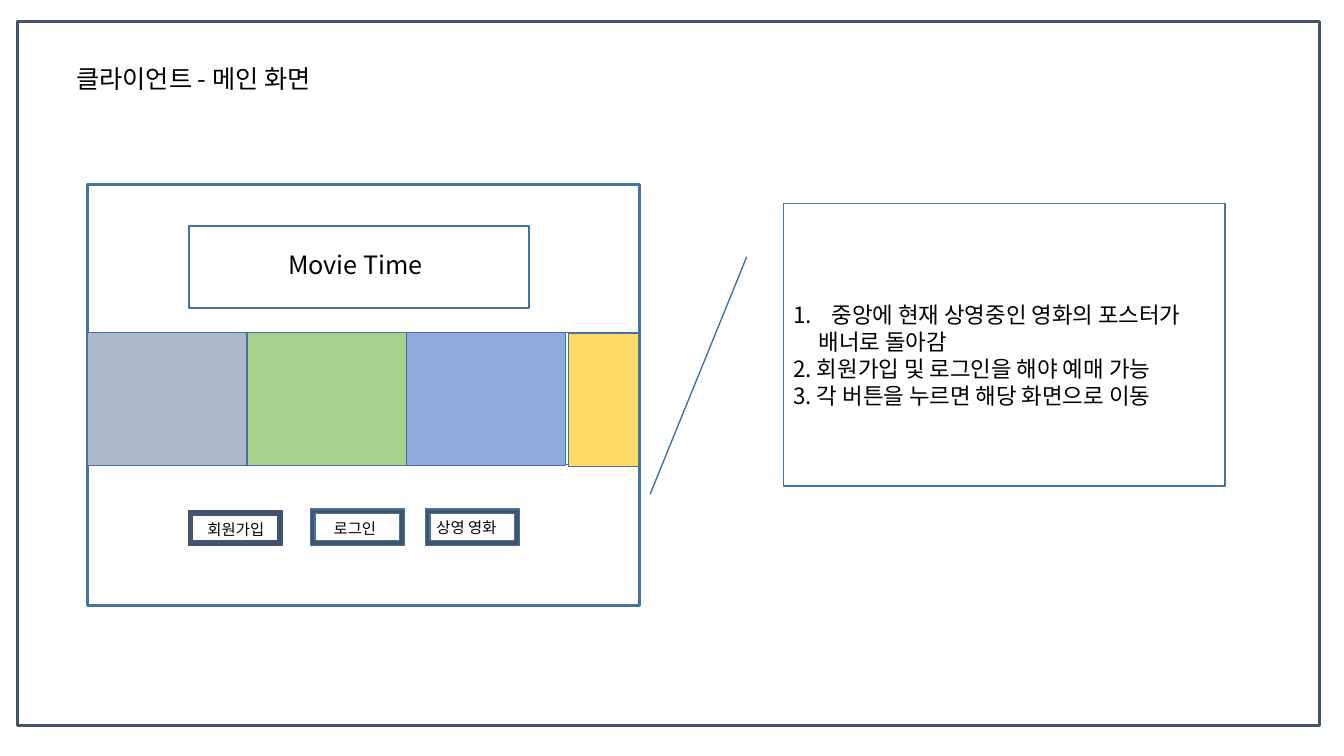
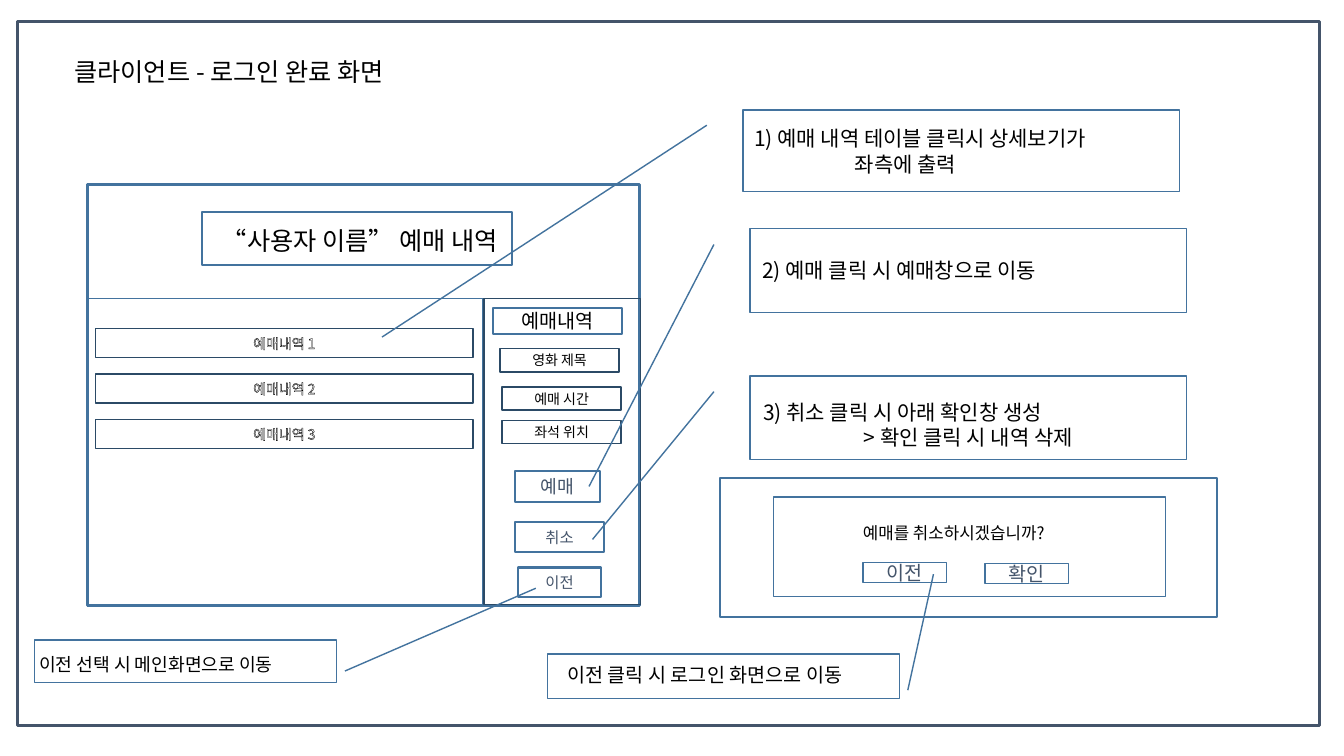
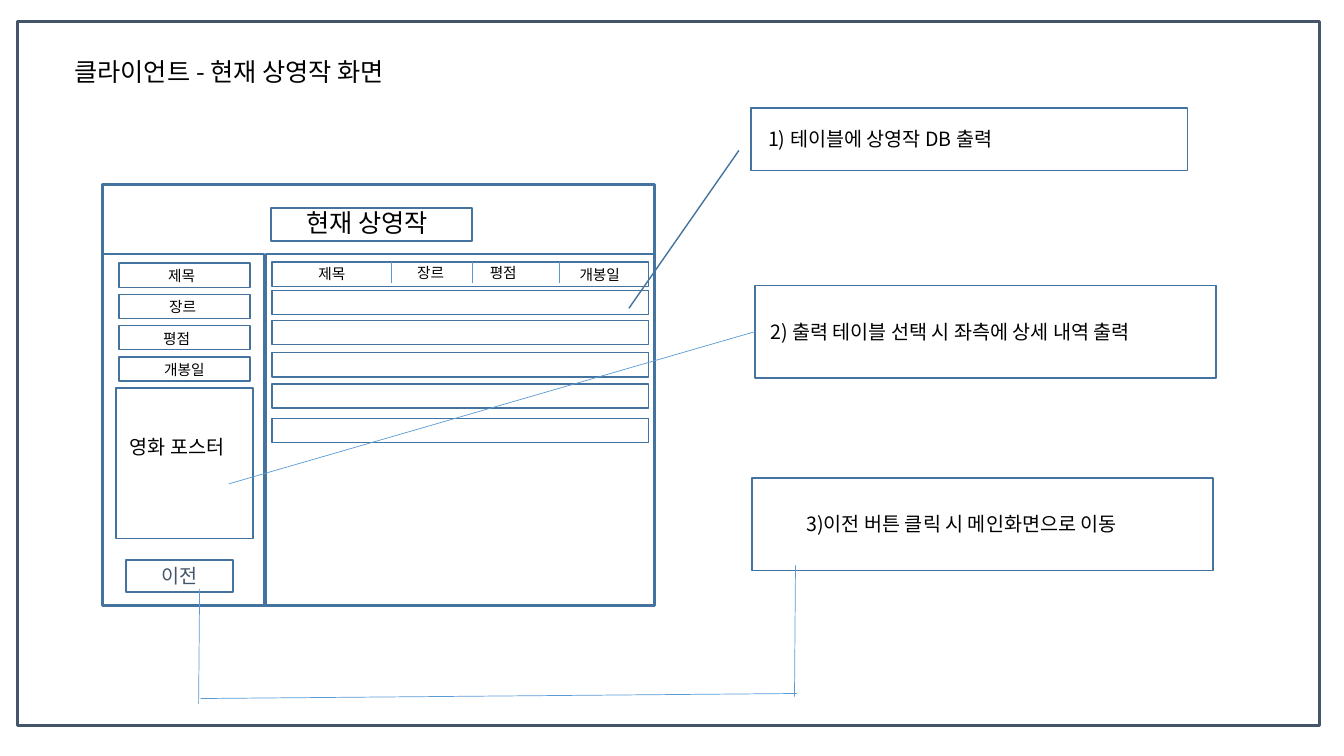
from lxml import etree
from pptx import Presentation
from pptx.dml.color import RGBColor
from pptx.enum.shapes import MSO_CONNECTOR, MSO_SHAPE
from pptx.enum.text import MSO_ANCHOR, MSO_AUTO_SIZE, PP_ALIGN
from pptx.oxml.ns import qn
from pptx.util import Inches, Pt

RECT = MSO_SHAPE.RECTANGLE
FRAME = MSO_SHAPE.FRAME
CALLOUT = MSO_SHAPE.LINE_CALLOUT_1
STRAIGHT = MSO_CONNECTOR.STRAIGHT
LEFT, CENTER = PP_ALIGN.LEFT, PP_ALIGN.CENTER
MIDDLE = MSO_ANCHOR.MIDDLE
FIT = MSO_AUTO_SIZE.SHAPE_TO_FIT_TEXT
FONT = "Noto Sans CJK KR"
COLORS = {
    "slate": "44546A", "blue": "43739E", "navy": "2B4A66", "sky": "5B9BD5",
    "black": "000000", "white": "FFFFFF", "gray": "ADB9CA", "green": "A9D18E",
    "periwinkle": "8FAADC", "yellow": "FFD966",
}


def rgb(name):
    return RGBColor.from_string(COLORS[name])


class Wireframe:
    """Holds the deck style and the page being drawn."""

    def __init__(self):
        self.deck = Presentation()
        self.deck.slide_width = Inches(13.33)
        self.deck.slide_height = Inches(7.5)
        self.page = None

    def new_page(self, title, left=0.64, top=0.51):
        self.page = self.deck.slides.add_slide(self.deck.slide_layouts[6])
        self.shape((0.17, 0.21, 12.92, 6.99), line="slate", width=2)
        self.text((left, top, 4.74, 0.4), title, 18)

    def shape(self, at, kind=RECT, line="blue", width=1, fill=None):
        shape = self.page.shapes.add_shape(kind, *map(Inches, at))
        shape.shadow.inherit = False
        if fill:
            shape.fill.solid()
            shape.fill.fore_color.rgb = rgb(fill)
        else:
            shape.fill.background()
        shape.line.color.rgb = rgb(line)
        shape.line.width = Pt(width)
        return shape

    def callout(self, at, pointer, rotation=0):
        """Pointer holds start y, start x, end y and end x as shares of the box."""
        shape = self.shape(at, CALLOUT)
        for index, value in enumerate(pointer):
            shape.adjustments[index] = value
        shape.rotation = rotation

    def button(self, at, text, size, color="slate", line="blue", width=1.5, outline=False):
        frame = self.shape(at, line=line, width=width).text_frame
        frame.word_wrap = True
        frame.vertical_anchor = MIDDLE
        self.add_span(frame.paragraphs[0], text, size, color, CENTER, outline)

    def text(self, at, text, size, wrap=True, align=LEFT):
        """Add a text box; a list gives one paragraph for each item."""
        frame = self.page.shapes.add_textbox(*map(Inches, at)).text_frame
        frame.word_wrap = wrap
        frame.auto_size = FIT
        lines = text if isinstance(text, list) else [text]
        for index, line in enumerate(lines):
            para = frame.add_paragraph() if index else frame.paragraphs[0]
            self.add_span(para, line, size, align=align)
        return frame

    def add_span(self, para, text, size, color="black", align=LEFT, outline=False):
        para.alignment = align
        span = para.add_run()
        span.text = text
        span.font.size = Pt(size)
        span.font.name = FONT
        span.font.color.rgb = rgb(color)
        props = span.font._element
        east_asian = etree.Element(qn("a:ea"), typeface=FONT)
        props.find(qn("a:latin")).addnext(east_asian)
        if outline:
            edge = etree.Element(qn("a:ln"), w=str(Pt(0.75)))
            solid = etree.SubElement(edge, qn("a:solidFill"))
            etree.SubElement(solid, qn("a:srgbClr"), val=COLORS["black"])
            props.insert(0, edge)

    def indent(self, para, margin, first=0.0, number=False):
        props = para._p.get_or_add_pPr()
        props.set("marL", str(Inches(margin)))
        props.set("indent", str(Inches(first)))
        if number:
            etree.SubElement(props, qn("a:buAutoNum"), type="arabicPeriod")

    def line(self, x1, y1, x2, y2):
        line = self.page.shapes.add_connector(STRAIGHT, *map(Inches, (x1, y1, x2, y2)))
        line.line.color.rgb = rgb("sky")
        line.line.width = Pt(0.5)
        etree.SubElement(line._element.spPr, qn("a:effectLst"))


def main_screen(w):
    w.new_page("클라이언트 - 메인 화면", 0.66, 0.58)
    w.shape((0.87, 1.83, 5.47, 4.18), width=2.25)
    w.shape((1.87, 2.24, 3.38, 0.82), width=1.5)
    w.text((2.76, 2.42, 1.55, 0.4), "Movie Time", 18, wrap=False)

    w.shape((0.87, 3.3, 5.47, 1.31))
    for index, fill in enumerate(("gray", "green", "periwinkle")):
        w.shape((0.87 + 1.58 * index, 3.3, 1.58, 1.32), fill=fill)
    w.shape((5.64, 3.31, 0.69, 1.32), fill="yellow")

    menu = (
        ("회원가입", (1.87, 5.07, 0.93, 0.34), (1.96, 5.11, 0.87, 0.29), "slate"),
        ("로그인", (3.08, 5.05, 0.93, 0.36), (3.21, 5.1, 0.68, 0.29), "blue"),
        ("상영 영화", (4.22, 5.05, 0.93, 0.36), (4.23, 5.09, 0.94, 0.29), "blue"),
    )
    for label, frame_at, label_at, line in menu:
        w.shape(frame_at, FRAME, line, fill="slate")
        w.text(label_at, label, 11)

    notes = w.text((7.77, 2.94, 4.49, 1.18), [
        "중앙에 현재 상영중인 영화의 포스터가",
        "배너로 돌아감",
        "2. 회원가입 및 로그인을 해야 예매 가능",
        "3. 각 버튼을 누르면 해당 화면으로 이동",
    ], 16, wrap=False)
    w.indent(notes.paragraphs[0], 0.38, -0.38, number=True)
    w.indent(notes.paragraphs[1], 0.25)
    w.callout((7.77, 2.02, 4.38, 2.8), (0.188, -0.083, 1.03, -0.302))


def login_screen(w):
    w.new_page("클라이언트 - 로그인 완료 화면")
    w.shape((0.87, 1.83, 5.47, 4.18), width=2.25)
    w.shape((2, 2.1, 3.08, 0.53), width=1.5)
    w.text((1.93, 2.19, 3.28, 0.39), "“사용자 이름” 예매 내역", 18, align=CENTER)
    w.shape((0.87, 2.96, 3.92, 3.06))
    w.shape((4.8, 2.96, 1.55, 3.04), line="navy")

    for index in range(3):
        w.button((0.95, 3.26 + 0.45 * index, 3.74, 0.29), f"예매내역 {index + 1}",
                 10, "white", "navy", 1, outline=True)
    w.button((4.89, 3.06, 1.28, 0.25), "예매내역", 14, "black", outline=True)
    for label, left, top in (("영화 제목", 4.96, 3.46), ("예매 시간", 4.98, 3.84),
                             ("좌석 위치", 4.98, 4.17)):
        w.button((left, top, 1.18, 0.23), label, 10, "black", "navy", 1, outline=True)
    w.button((5.11, 4.67, 0.84, 0.31), "예매", 13)
    w.button((5.11, 5.18, 0.88, 0.3), "취소", 11)
    w.button((5.14, 5.63, 0.82, 0.29), "이전", 11)

    w.shape((7.14, 4.74, 4.93, 1.38), width=1.5)
    w.shape((7.67, 4.93, 3.89, 0.99))
    w.text((8.46, 5.14, 2.21, 0.3), "예매를 취소하시겠습니까?", 12)
    w.button((8.56, 5.58, 0.83, 0.2), "이전", 14, width=1)
    w.button((9.77, 5.59, 0.83, 0.2), "확인", 14, width=1)

    w.callout((7.37, 1.09, 4.33, 0.81), (0.188, -0.083, 2.783, -0.827))
    w.callout((7.44, 2.27, 4.33, 0.83), (0.188, -0.083, 3.08, -0.369))
    w.callout((7.44, 3.73, 4.33, 0.83), (0.188, -0.083, 1.954, -0.361))
    w.callout((0.34, 6.35, 3, 0.42), (0.269, -0.027, 2.224, -0.658), 180)
    w.callout((5.43, 6.49, 3.49, 0.44), (0.188, -0.024, 2.804, -0.097), 180)

    detail = w.text((7.38, 1.2, 4.31, 0.6),
                    ["1) 예매 내역 테이블 클릭시 상세보기가", "좌측에 출력"], 15)
    w.text((7.46, 2.51, 4.29, 0.35), "2) 예매 클릭 시 예매창으로 이동", 15)
    cancel = w.text((7.47, 3.91, 4.29, 0.59),
                    ["3) 취소 클릭 시 아래 확인창 생성", "> 확인 클릭 시 내역 삭제"], 15)
    for note in (detail, cancel):
        w.indent(note.paragraphs[1], 1)
    w.text((0.29, 6.43, 3.02, 0.32), "이전 선택 시 메인화면으로 이동", 13)
    w.text((5.53, 6.53, 3.53, 0.33), "이전 클릭 시 로그인 화면으로 이동", 14)


def now_showing_screen(w):
    w.new_page("클라이언트 - 현재 상영작 화면")
    w.shape((1.02, 1.83, 5.47, 4.18), width=2.25)
    w.shape((2.69, 2.06, 1.99, 0.33), width=1.5)
    w.text((2.94, 2.01, 1.55, 0.4), "현재 상영작", 18, wrap=False)
    w.shape((1.02, 2.52, 1.6, 3.49), width=1.5)
    w.shape((2.64, 2.52, 3.85, 3.49), width=1.5)

    fields = (("제목", 1.57, 3.06, 2.58), ("장르", 1.58, 4.04, 2.57),
              ("평점", 1.52, 4.76, 2.57), ("개봉일", 1.53, 5.65, 2.59))
    for index, (label, detail_left, head_left, head_top) in enumerate(fields):
        drop = 0.31 * index
        w.shape((1.18, 2.61 + drop, 1.3, 0.24))
        width = 0.18 * len(label) + 0.14
        w.text((detail_left, 2.6 + drop, width, 0.28), label, 10.5, wrap=False)
        w.text((head_left, head_top, width, 0.28), label, 10.5, wrap=False)

    for top in (2.6, 2.88, 3.18, 3.5, 3.81, 4.15):
        w.shape((2.7, top, 3.73, 0.24))
    for x in (3.88, 4.69, 5.55):
        w.line(x, 2.6, x, 2.81)

    w.shape((1.15, 3.85, 1.36, 1.49))
    w.text((1.19, 4.27, 1.25, 0.34), "영화 포스터", 14, wrap=False)
    w.button((1.25, 5.56, 1.06, 0.31), "이전", 14)

    w.callout((7.45, 1.07, 4.33, 0.62), (0.681, -0.028, 3.207, -0.28))
    w.text((7.52, 1.21, 3.7, 0.34), "1) 테이블에 상영작 DB 출력", 14)
    w.shape((7.49, 2.83, 4.57, 0.92))
    w.text((7.54, 3.12, 4.35, 0.34), "2) 출력 테이블 선택 시 좌측에 상세 내역 출력", 14)
    w.shape((7.46, 4.74, 4.57, 0.92))
    w.text((7.9, 5.03, 3.66, 0.34), "3)이전 버튼 클릭 시 메인화면으로 이동", 14, wrap=False)

    w.line(1.98, 5.84, 1.97, 6.98)
    w.line(1.99, 6.93, 7.9, 6.88)
    w.line(7.89, 5.61, 7.88, 6.91)
    w.line(7.49, 3.29, 2.27, 4.8)


def main():
    wireframe = Wireframe()
    main_screen(wireframe)
    login_screen(wireframe)
    now_showing_screen(wireframe)
    wireframe.deck.save("out.pptx")


if __name__ == "__main__":
    main()
